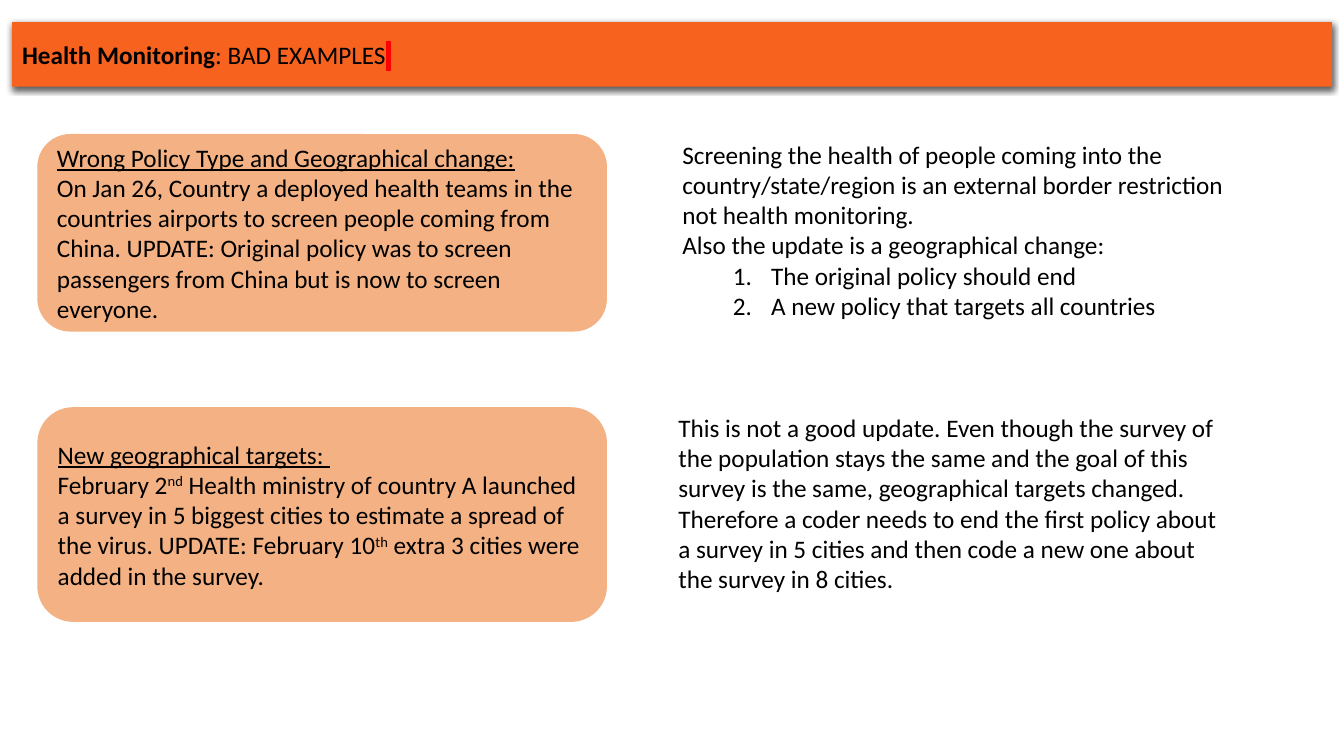
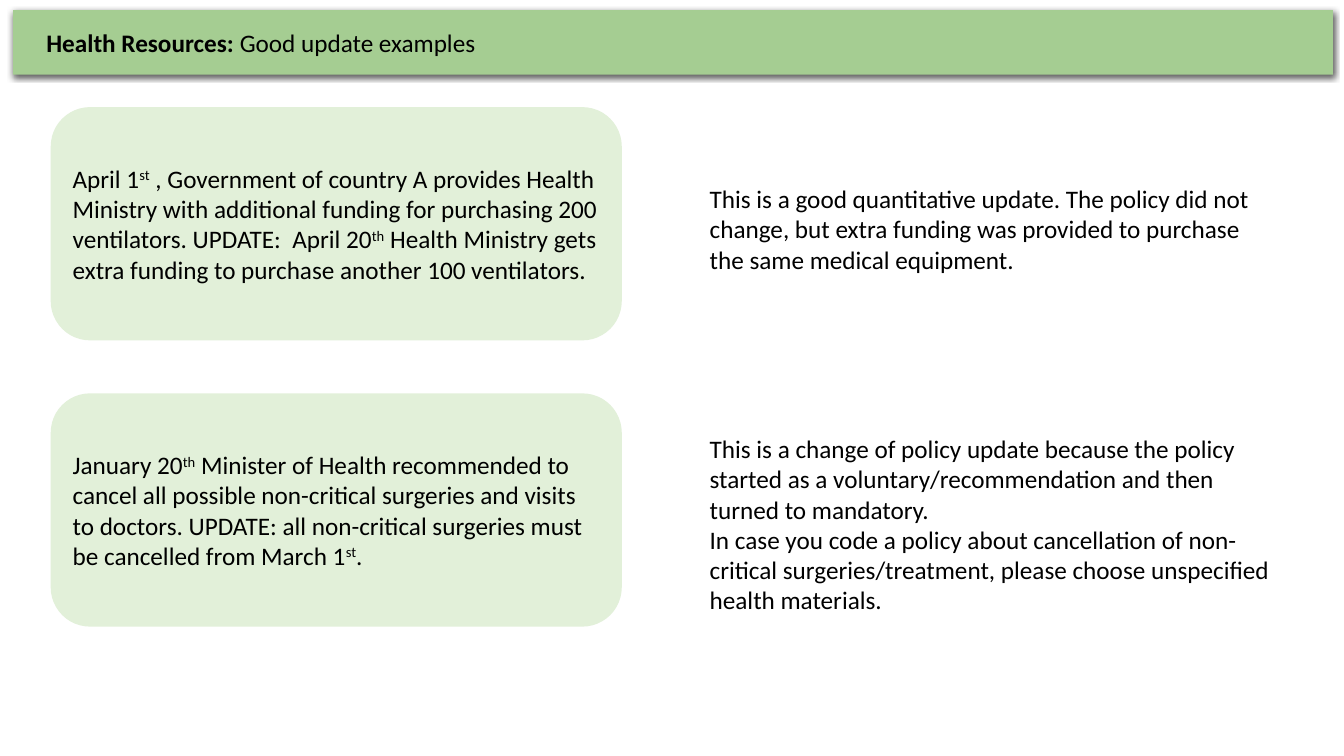
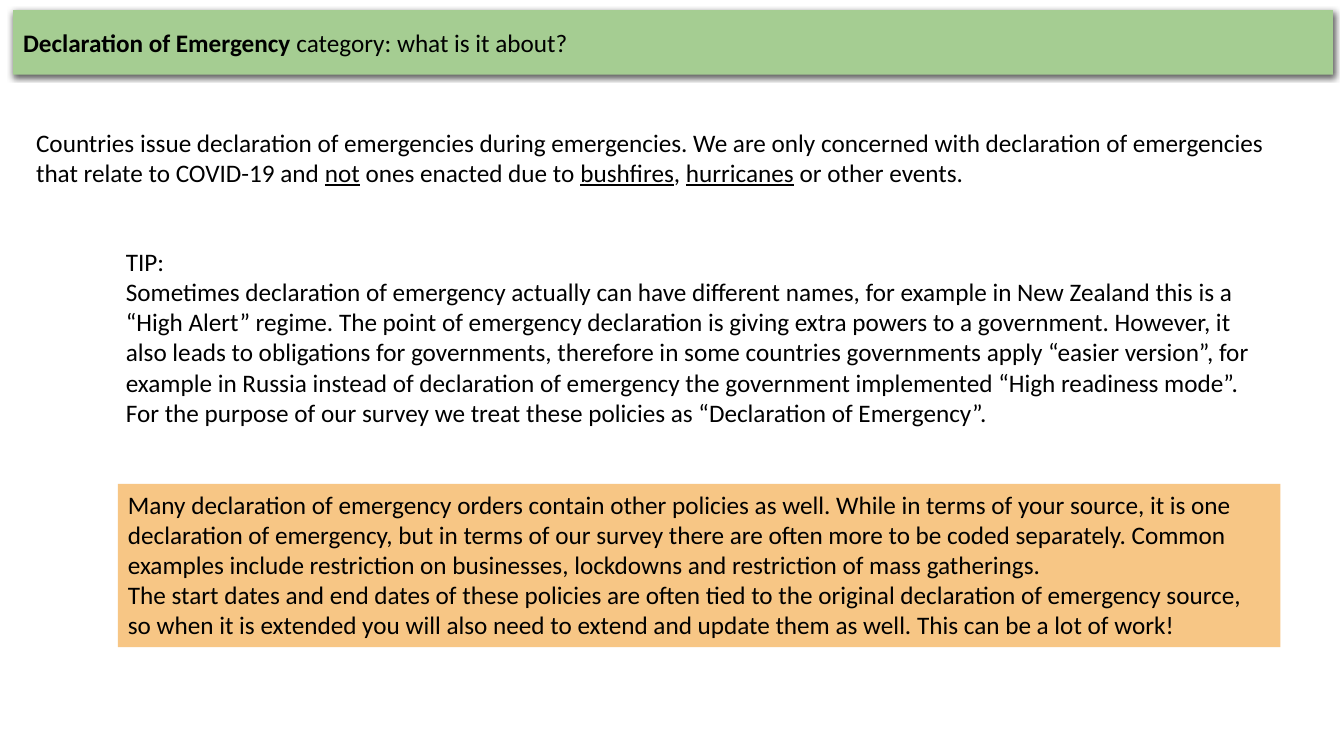
from dataclasses import dataclass
from typing import NamedTuple

from lxml import etree
from pptx import Presentation
from pptx.dml.color import RGBColor
from pptx.enum.shapes import MSO_SHAPE
from pptx.enum.text import MSO_ANCHOR, MSO_AUTO_SIZE, PP_ALIGN
from pptx.oxml.ns import qn
from pptx.util import Emu, Pt

RECT = MSO_SHAPE.RECTANGLE
ROUNDED = MSO_SHAPE.ROUNDED_RECTANGLE
TOP, MIDDLE = MSO_ANCHOR.TOP, MSO_ANCHOR.MIDDLE
GROW, FIXED = MSO_AUTO_SIZE.SHAPE_TO_FIT_TEXT, MSO_AUTO_SIZE.NONE
LEFT = PP_ALIGN.LEFT

EMU_PER_PX = 9144  # 100 px to the inch
SLIDE_W, SLIDE_H = 1333, 750
BAND_W, BAND_H = 1309, 64
CARD_W = 565
INSET = 10
NUMBER_INDENT, NUMBER_HANG = 88, 38


@dataclass(frozen=True)
class Theme:
    font: str = "Calibri"
    size: int = 18
    ink: str = "000000"
    orange: str = "F8621F"
    peach: str = "F4B183"
    green: str = "A5CD92"
    mint: str = "E2F0D9"
    amber: str = "F7C685"
    red: str = "FF0000"


THEME = Theme()


class Run(NamedTuple):
    text: str
    bold: bool = False
    underline: bool = False
    raised: bool = False
    highlight: str = ""


class Para(NamedTuple):
    runs: list[Run]
    numbered: bool = False


class Box(NamedTuple):
    x: int
    y: int
    w: int
    h: int
    paras: list[Para]
    fill: str = ""
    line: str = ""
    shape: MSO_SHAPE = RECT
    anchor: MSO_ANCHOR = TOP


class Band(NamedTuple):
    x: int
    y: int
    fill: str
    runs: list[Run]
    inset: int = INSET


class Page(NamedTuple):
    band: Band
    boxes: list[Box]


def px(n: int) -> Emu:
    return Emu(n * EMU_PER_PX)


def plain(text: str, *, numbered: bool = False) -> Para:
    return Para([Run(text)], numbered)


def heading(text: str) -> Para:
    return Para([Run(text, underline=True)])


def mixed(*texts: str, **style: bool) -> Para:
    """Alternate plain runs with runs in the given style."""
    return Para([Run(t, **style) if i % 2 else Run(t) for i, t in enumerate(texts)])


def card(x: int, y: int, h: int, paras: list[Para], fill: str, line: str = "") -> Box:
    return Box(x, y, CARD_W, h, paras, fill, line, ROUNDED, MIDDLE)


def add_run(p, text: str, *, bold: bool = False, underline: bool = False,
            raised: bool = False, highlight: str = "") -> None:
    r = p.add_run()
    r.text = text
    r.font.name = THEME.font
    r.font.size = Pt(THEME.size)
    r.font.color.rgb = RGBColor.from_string(THEME.ink)
    r.font.bold = bold
    r.font.underline = underline
    props = r.font._element
    if raised:
        props.set("baseline", "30000")
    if highlight:
        mark = etree.Element(qn("a:highlight"))
        etree.SubElement(mark, qn("a:srgbClr"), val=highlight)
        props.find(qn("a:solidFill")).addnext(mark)


def number(p) -> None:
    p.level = 1
    props = p._p.get_or_add_pPr()
    props.set("marL", str(px(NUMBER_INDENT)))
    props.set("indent", str(-px(NUMBER_HANG)))
    etree.SubElement(props, qn("a:buFont"), typeface="+mj-lt")
    etree.SubElement(props, qn("a:buAutoNum"), type="arabicPeriod")


def fill_text(s, paras: list[Para], *, anchor: MSO_ANCHOR = TOP,
              fit: MSO_AUTO_SIZE = FIXED, inset: int = INSET) -> None:
    tf = s.text_frame
    tf.word_wrap = True
    tf.auto_size = fit
    tf.vertical_anchor = anchor
    tf.margin_left = px(inset)
    for i, para in enumerate(paras):
        p = tf.add_paragraph() if i else tf.paragraphs[0]
        p.alignment = LEFT
        if para.numbered:
            number(p)
        for run in para.runs:
            add_run(p, **run._asdict())


def add_shape(sp, kind: MSO_SHAPE, x: int, y: int, w: int, h: int, fill: str, line: str = ""):
    s = sp.add_shape(kind, px(x), px(y), px(w), px(h))
    s.shadow.inherit = False
    s.fill.solid()
    s.fill.fore_color.rgb = RGBColor.from_string(fill)
    if line:
        s.line.color.rgb = RGBColor.from_string(line)
        s.line.width = Pt(1)
    else:
        s.line.fill.background()
    return s


def drop_shadow(s) -> None:
    effects = s._element.spPr.find(qn("a:effectLst"))
    shadow = etree.SubElement(effects, qn("a:outerShdw"), blurRad=str(Pt(4.5)),
                              dist=str(Pt(1.5)), dir="5400000", algn="ctr", rotWithShape="0")
    color = etree.SubElement(shadow, qn("a:srgbClr"), val=THEME.ink)
    etree.SubElement(color, qn("a:alpha"), val="63000")


def add_band(sp, band: Band) -> None:
    s = add_shape(sp, RECT, band.x, band.y, BAND_W, BAND_H, band.fill)
    drop_shadow(s)
    fill_text(s, [Para(band.runs)], anchor=MIDDLE, inset=band.inset)


def add_box(sp, box: Box) -> None:
    if box.fill:
        s = add_shape(sp, box.shape, box.x, box.y, box.w, box.h, box.fill, box.line)
    else:
        s = sp.add_textbox(px(box.x), px(box.y), px(box.w), px(box.h))
    fill_text(s, box.paras, anchor=box.anchor, fit=GROW if box.anchor == TOP else FIXED)


PAGES = [
    Page(
        Band(12, 22, THEME.orange, [Run("Health Monitoring", bold=True), Run(": BAD EXAMPLES"),
                                    Run(" ", highlight=THEME.red)]),
        [
            card(37, 133, 196, [
                heading("Wrong Policy Type and Geographical change:"),
                plain("On Jan 26, Country a deployed health teams in the countries airports to "
                      "screen people coming from China. UPDATE: Original policy was to screen "
                      "passengers from China but is now to screen everyone."),
            ], THEME.peach),
            Box(667, 133, 574, 192, [
                plain("Screening the health of people coming into the country/state/region is an "
                      "external border restriction not health monitoring."),
                plain("Also the update is a geographical change:"),
                plain("The original policy should end", numbered=True),
                plain("A new policy that targets all countries", numbered=True),
            ]),
            card(37, 404, 213, [
                heading("New geographical targets: "),
                mixed("February 2", "nd", " Health ministry of country A launched a survey in 5 "
                      "biggest cities to estimate a spread of the virus. UPDATE: February 10",
                      "th", " extra 3 cities were added in the survey.", raised=True),
            ], THEME.peach),
            Box(663, 404, 565, 192, [
                plain("This is not a good update. Even though the survey of the population stays "
                      "the same and the goal of this survey is the same, geographical targets "
                      "changed. Therefore a coder needs to end the first policy about a survey in "
                      "5 cities and then code a new one about the survey in 8 cities."),
            ]),
        ],
    ),
    Page(
        Band(13, 10, THEME.green, [Run("Health Resources: ", bold=True),
                                   Run("Good update examples")], inset=33),
        [
            card(51, 107, 230, [
                mixed("April 1", "st", " , Government of country A provides Health Ministry with "
                      "additional funding for purchasing 200 ventilators. UPDATE:  April 20", "th",
                      " Health Ministry gets extra funding to purchase another 100 ventilators.",
                      raised=True),
            ], THEME.mint, THEME.mint),
            Box(694, 177, 565, 101, [
                plain("This is a good quantitative update. The policy did not change, but extra "
                      "funding was provided to purchase the same medical equipment."),
            ]),
            card(51, 391, 230, [
                mixed("January 20", "th", " Minister of Health recommended to cancel all possible "
                      "non-critical surgeries and visits to doctors. UPDATE: all non-critical "
                      "surgeries must be cancelled from March 1", "st", ".", raised=True),
            ], THEME.mint, THEME.mint),
            Box(694, 425, 588, 192, [
                plain("This is a change of policy update because the policy started as a "
                      "voluntary/recommendation and then turned to mandatory."),
                plain("In case you code a policy about cancellation of non-critical "
                      "surgeries/treatment, please choose unspecified health materials."),
            ]),
        ],
    ),
    Page(
        Band(13, 10, THEME.green, [Run("Declaration of Emergency ", bold=True),
                                   Run("category: what is it about?")]),
        [
            Box(26, 121, 1256, 71, [
                mixed("Countries issue declaration of emergencies during emergencies. We are only "
                      "concerned with declaration of emergencies that relate to COVID-19 and ",
                      "not", " ones enacted due to ", "bushfires", ", ", "hurricanes",
                      " or other events.", underline=True),
            ]),
            Box(115, 239, 1143, 192, [
                plain("TIP:"),
                plain("Sometimes declaration of emergency actually can have different names, for "
                      "example in New Zealand this is a “High Alert” regime. The point of "
                      "emergency declaration is giving extra powers to a government. However, it "
                      "also leads to obligations for governments, therefore in some countries "
                      "governments apply “easier version”, for example in Russia instead of "
                      "declaration of emergency the government implemented “High readiness mode”. "
                      "For the purpose of our survey we treat these policies as “Declaration of "
                      "Emergency”."),
            ]),
            Box(117, 480, 1153, 162, [
                plain("Many declaration of emergency orders contain other policies as well. While "
                      "in terms of your source, it is one declaration of emergency, but in terms "
                      "of our survey there are often more to be coded separately. Common examples "
                      "include restriction on businesses, lockdowns and restriction of mass "
                      "gatherings."),
                plain("The start dates and end dates of these policies are often tied to the "
                      "original declaration of emergency source, so when it is extended you will "
                      "also need to extend and update them as well. This can be a lot of work!"),
            ], THEME.amber),
        ],
    ),
]


def main() -> None:
    prs = Presentation()
    prs.slide_width, prs.slide_height = px(SLIDE_W), px(SLIDE_H)
    blank = prs.slide_layouts[6]
    for page in PAGES:
        sp = prs.slides.add_slide(blank).shapes
        add_band(sp, page.band)
        for box in page.boxes:
            add_box(sp, box)
    prs.save("out.pptx")


if __name__ == "__main__":
    main()
